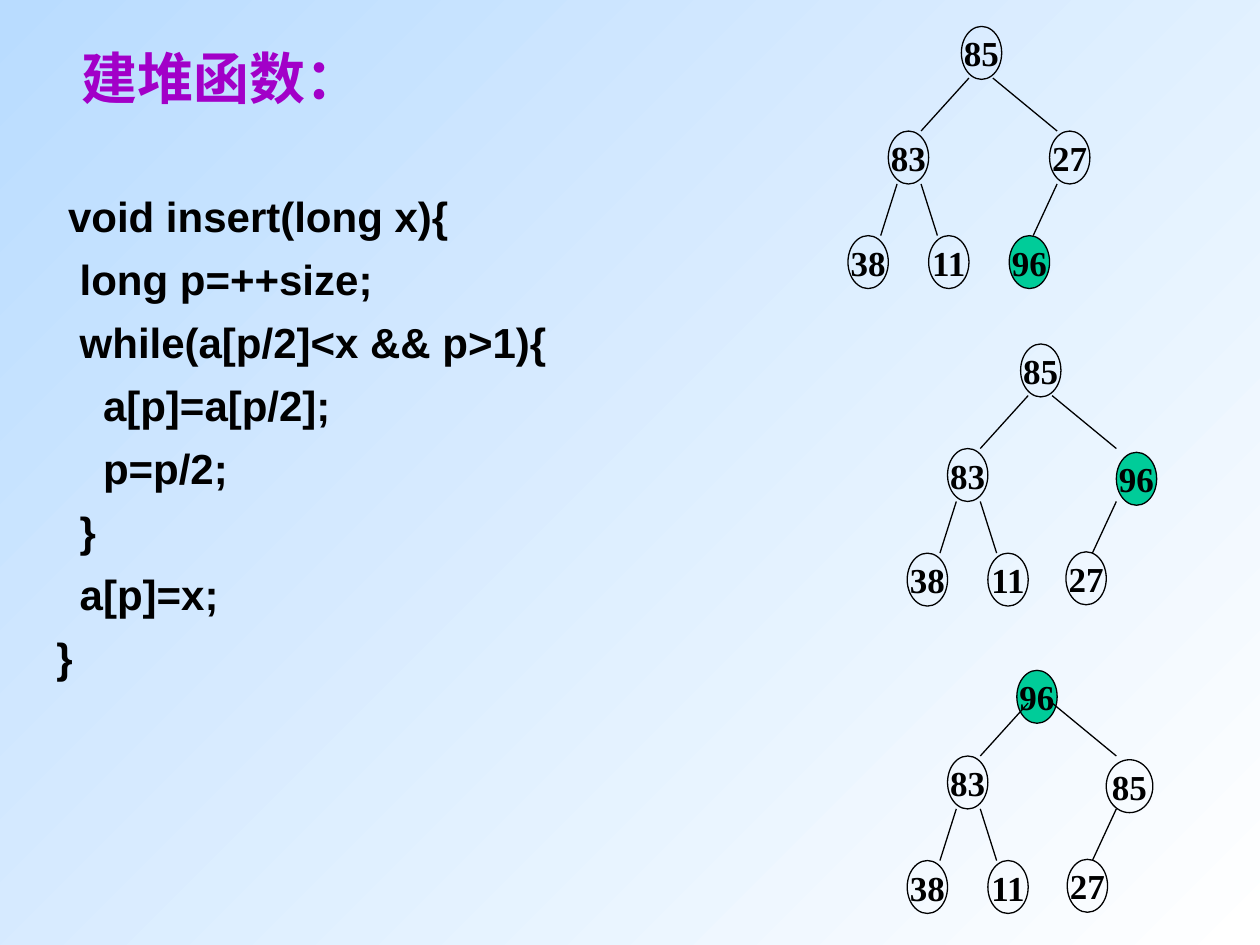
from lxml import etree
from pptx import Presentation
from pptx.dml.color import RGBColor
from pptx.enum.shapes import MSO_CONNECTOR, MSO_SHAPE
from pptx.enum.text import MSO_ANCHOR, PP_ALIGN
from pptx.oxml.ns import qn
from pptx.util import Inches, Pt

ELLIPSE = MSO_SHAPE.OVAL
STRAIGHT = MSO_CONNECTOR.STRAIGHT
MIDDLE = MSO_ANCHOR.MIDDLE
TOP = MSO_ANCHOR.TOP
LEFT = PP_ALIGN.LEFT
CENTER = PP_ALIGN.CENTER

BLACK = RGBColor(0x00, 0x00, 0x00)
PURPLE = RGBColor(0xA2, 0x00, 0xC8)
GREEN = RGBColor(0x00, 0xCC, 0x99)
SKY = RGBColor(0xB9, 0xDC, 0xFF)
WHITE = RGBColor(0xFF, 0xFF, 0xFF)

TITLE_FONT = {"name": "Noto Sans CJK SC", "size": Pt(32), "bold": True}
CODE_FONT = {"name": "Arial", "size": Pt(24), "bold": True}
NODE_FONT = {"name": "Times New Roman", "size": Pt(20), "bold": True}

CODE = [
    " void insert(long x){",
    "  long p=++size;",
    "  while(a[p/2]<x && p>1){",
    "    a[p]=a[p/2];",
    "    p=p/2;",
    "  }",
    "  a[p]=x;",
    "}",
]

NODE_W, NODE_H = 0.32, 0.42
HEAP_NODES = [(0.9, 0), (0.32, 0.83), (1.6, 0.83),
              (0, 1.66), (0.64, 1.66), (1.28, 1.66)]
HEAP_EDGES = [
    (0.39, 1.25, 0.26, 1.66),
    (0.58, 1.25, 0.71, 1.66),
    (1.66, 1.25, 1.47, 1.66),
    (0.96, 0.41, 0.58, 0.83),
    (1.15, 0.41, 1.66, 0.83),
]
HEAPS = [
    (6.73, 0.21, [85, 83, 27, 38, 11, 96], {}),
    (7.2, 2.73, [85, 83, 96, 38, 11, 27],
     {2: (1.66, 0.86, NODE_W), 5: (1.26, 1.65, NODE_W)}),
    (7.2, 5.17, [96, 83, 85, 38, 11, 27],
     {0: (0.87, 0.15, NODE_W), 2: (1.58, 0.86, 0.37), 5: (1.27, 1.65, NODE_W)}),
]
INSERTED = 96


class HeapSlide:
    def __init__(self, prs):
        self.s = prs.slides.add_slide(prs.slide_layouts[5])
        self.line_width = Pt(0.75)

    def background(self, start, end):
        fill = self.s.background.fill
        fill.gradient()
        fill.gradient_angle = 315
        for stop, color in zip(fill.gradient_stops, (start, end)):
            stop.color.rgb = color

    def set_text(self, tf, lines, font, color, align, anchor, wrap, gap=0):
        tf.word_wrap = wrap
        tf.vertical_anchor = anchor
        for i, line in enumerate(lines):
            p = tf.paragraphs[0] if i == 0 else tf.add_paragraph()
            p.alignment = align
            p.space_before = Pt(gap if i else 0)
            r = p.add_run()
            r.text = line
            for name, value in font.items():
                setattr(r.font, name, value)
            r.font.color.rgb = color

    def title(self, text, x, y, w, h):
        sp = self.s.shapes.title
        box = {"left": x, "top": y, "width": w, "height": h}
        for name, value in box.items():
            setattr(sp, name, Inches(value))
        self.set_text(sp.text_frame, [text], TITLE_FONT, PURPLE, LEFT, MIDDLE, True)
        r = sp.text_frame.paragraphs[0].runs[0]
        ea = etree.SubElement(r.font._element, qn("a:ea"))
        ea.set("typeface", TITLE_FONT["name"])

    def code(self, lines, x, y, w, h):
        sp = self.s.shapes.add_textbox(*map(Inches, (x, y, w, h)))
        self.set_text(sp.text_frame, lines, CODE_FONT, BLACK, LEFT, TOP, True, 7.2)

    def node(self, shapes, value, x, y, w):
        sp = shapes.add_shape(ELLIPSE, *map(Inches, (x, y, w, NODE_H)))
        sp.shadow.inherit = False
        if value == INSERTED:
            sp.fill.solid()
            sp.fill.fore_color.rgb = GREEN
        else:
            sp.fill.background()
        sp.line.color.rgb = BLACK
        sp.line.width = self.line_width
        self.set_text(sp.text_frame, [str(value)], NODE_FONT, BLACK, CENTER, MIDDLE, False)

    def edge(self, shapes, x1, y1, x2, y2):
        cxn = shapes.add_connector(STRAIGHT, *map(Inches, (x1, y1, x2, y2)))
        cxn.line.color.rgb = BLACK
        cxn.line.width = self.line_width
        etree.SubElement(cxn._element.spPr, qn("a:effectLst"))

    def heap(self, x, y, values, moved):
        shapes = self.s.shapes.add_group_shape().shapes
        for i, (value, place) in enumerate(zip(values, HEAP_NODES)):
            dx, dy, w = moved.get(i, (*place, NODE_W))
            self.node(shapes, value, x + dx, y + dy, w)
        for x1, y1, x2, y2 in HEAP_EDGES:
            self.edge(shapes, x + x1, y + y1, x + x2, y + y2)


def main():
    prs = Presentation()
    prs.slide_width = Inches(10)
    prs.slide_height = Inches(7.5)
    slide = HeapSlide(prs)
    slide.background(SKY, WHITE)
    slide.title("建堆函数：", 0.55, 0.26, 6, 0.7)
    slide.code(CODE, 0.35, 1.46, 6.3, 4)
    for heap in HEAPS:
        slide.heap(*heap)
    prs.save("out.pptx")


if __name__ == "__main__":
    main()
